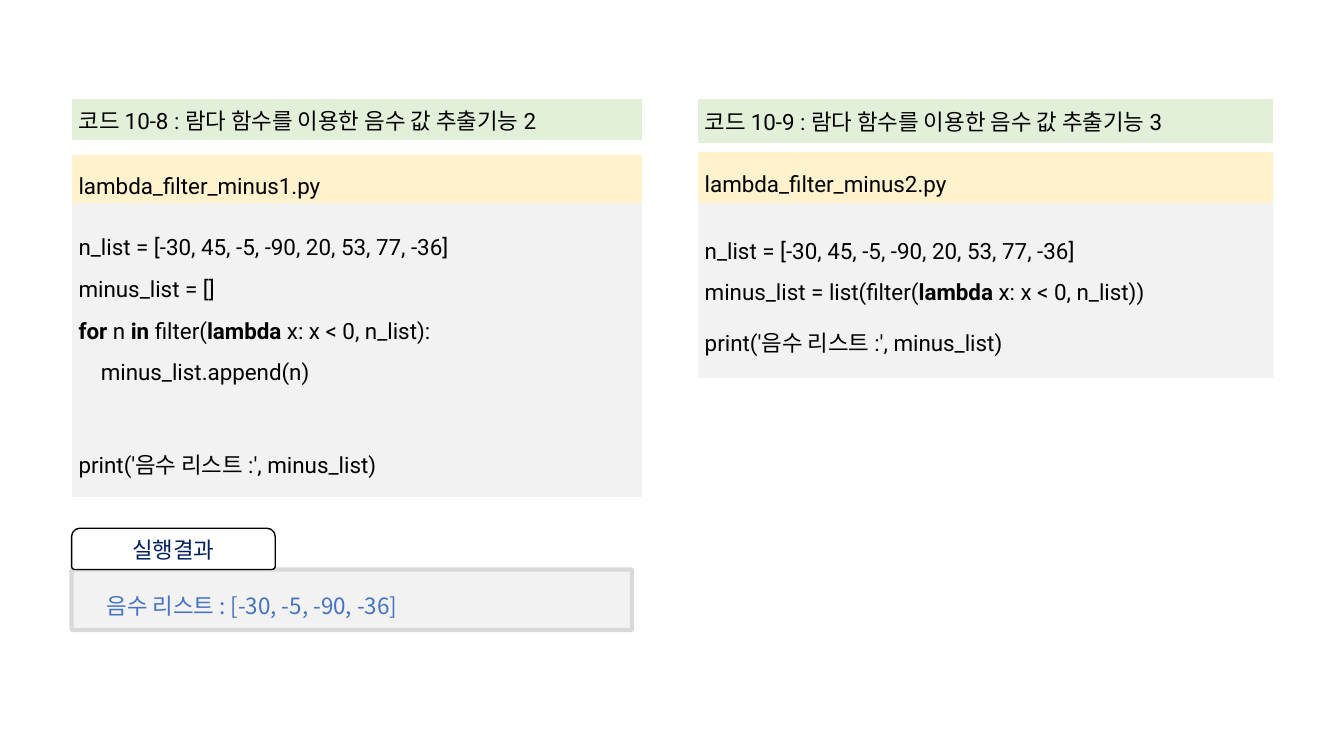
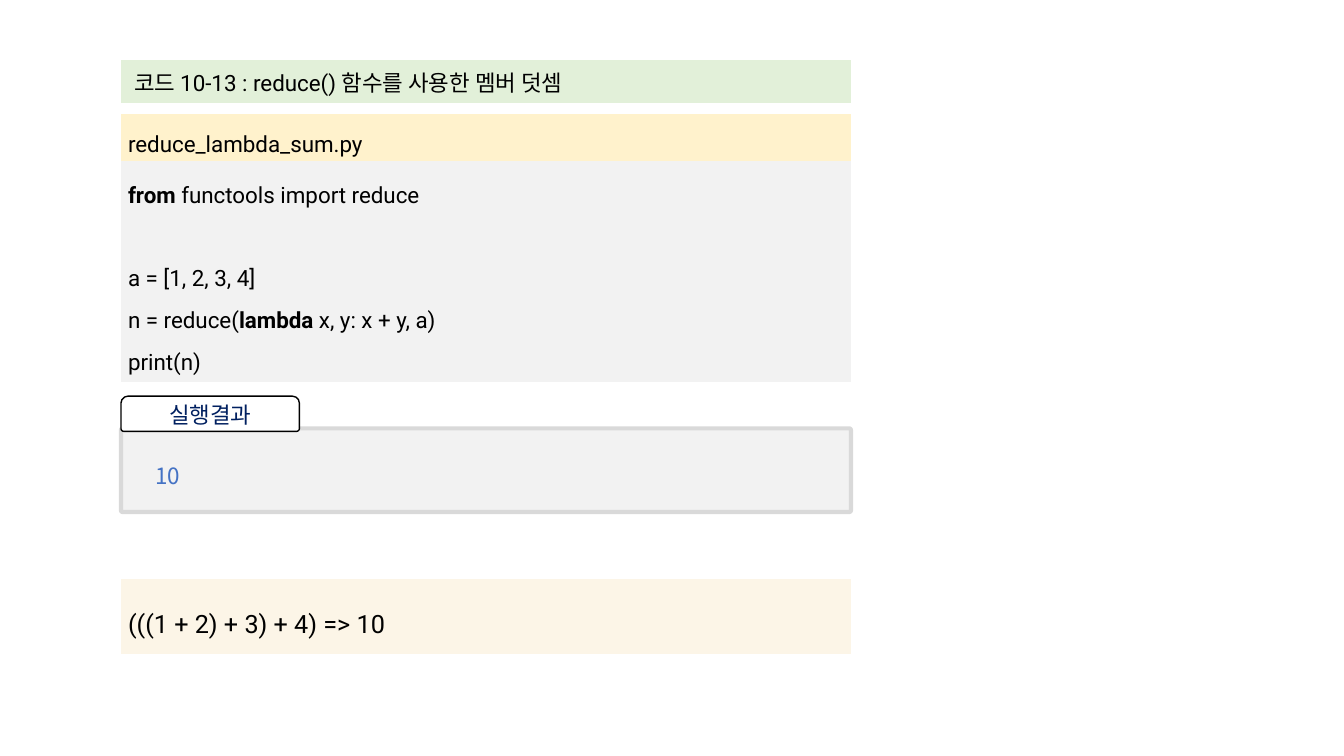
from lxml import etree
from pptx import Presentation
from pptx import util as u
from pptx.dml.color import RGBColor
from pptx.enum import shapes, text
from pptx.oxml import ns

PX = 9144  # 100 px to the inch
LATIN, KOREAN = "Roboto", "Noto Sans CJK KR"
COLORS = {
    "title": "E2F0D9", "file": "FFF2CC", "code": "F2F2F2", "note": "FCF5E7",
    "frame": "D9D9D9", "white": "FFFFFF", "black": "000000",
    "navy": "002060", "blue": "4472C4",
}
NO_GRID_STYLE = "{2D5ABB26-0587-4C30-8999-92F81FD0307C}"
BLANK_LINE = u.Pt(30)
INDENT = 22  # px for one code level of four spaces
CODE_FORMAT = {"align": text.PP_ALIGN.JUSTIFY, "spacing": 1.6}


def px(n):
    return u.Emu(n * PX)


def rgb(name):
    return RGBColor.from_string(COLORS[name])


def write_text(tf, lines, size=16, font=LATIN, color="black", align=None, spacing=None):
    """Write lines; **x** is bold, an empty line is a gap, leading spaces indent."""
    p, gap = tf.paragraphs[0], None
    for i, line in enumerate(lines):
        if not line:
            gap = BLANK_LINE
            continue
        if i:
            p = tf.add_paragraph()
        p.alignment, p.line_spacing, p.space_before = align, spacing, gap
        gap = None
        level = (len(line) - len(line.lstrip())) // 4
        if level:
            p._p.get_or_add_pPr().set("marL", str(px(level * INDENT)))
        for j, part in enumerate(line.lstrip().split("**")):
            if not part:
                continue
            r = p.add_run()
            r.text = part
            r.font.size, r.font.name, r.font.bold = u.Pt(size), font, j % 2 == 1
            r.font.color.rgb = rgb(color)
            etree.SubElement(r._r.get_or_add_rPr(), ns.qn("a:ea"), typeface=KOREAN)


def add_rows(slide, x, y, w, rows):
    """Add a one-column table; each row is (height, fill, lines, format)."""
    height = sum(row[0] for row in rows)
    table = slide.shapes.add_table(len(rows), 1, px(x), px(y), px(w), px(height)).table
    table.first_row = table.horz_banding = False
    table._tbl.tblPr.find(ns.qn("a:tableStyleId")).text = NO_GRID_STYLE
    for i, (h, fill, lines, fmt) in enumerate(rows):
        table.rows[i].height = px(h)
        cell = table.cell(i, 0)
        cell.vertical_anchor = text.MSO_ANCHOR.MIDDLE
        cell.margin_left = cell.margin_right = px(7)
        cell.margin_top = cell.margin_bottom = px(2)
        if lines:
            cell.fill.solid()
            cell.fill.fore_color.rgb = rgb(fill)
            write_text(cell.text_frame, lines, **fmt)
        else:
            cell.fill.background()
            p = cell.text_frame.paragraphs[0]._p
            etree.SubElement(p, ns.qn("a:endParaRPr"), sz="100")
    return table


def add_listing(slide, x, y, w, heights, title, filename, code):
    """Add title, gap, file name and code as the four rows of one table."""
    title_h, gap_h, file_h, code_h = heights
    return add_rows(slide, x, y, w, [
        (title_h, "title", [title], {}),
        (gap_h, None, [], {}),
        (file_h, "file", [filename], CODE_FORMAT),
        (code_h, "code", code, CODE_FORMAT),
    ])


def add_box(slide, kind, box, fill, line, width, adjustments):
    sp = slide.shapes.add_shape(kind, *map(px, box))
    sp.shadow.inherit = False
    sp.fill.solid()
    sp.fill.fore_color.rgb = rgb(fill)
    sp.line.color.rgb = rgb(line)
    sp.line.width = u.Pt(width)
    for i, value in enumerate(adjustments):
        sp.adjustments[i] = value
    return sp


def add_result(slide, frame, tab, output_box, output):
    """Add the framed program output with its tab on top."""
    kinds = shapes.MSO_SHAPE
    add_box(slide, kinds.ROUNDED_RECTANGLE, frame, "code", "frame", 3, [0.02])
    sp = add_box(slide, kinds.ROUND_2_SAME_RECTANGLE, tab, "white", "black", 1, [0.2, 0.08])
    sp.text_frame.vertical_anchor = text.MSO_ANCHOR.MIDDLE
    write_text(sp.text_frame, ["실행결과"], font=KOREAN, color="navy",
               align=text.PP_ALIGN.CENTER)
    tf = slide.shapes.add_textbox(*map(px, output_box)).text_frame
    tf.word_wrap = True
    write_text(tf, [output], font=KOREAN, color="blue", spacing=1.5)


def build_filter_slide(slide):
    numbers = "n_list = [-30, 45, -5, -90, 20, 53, 77, -36]"
    show = "print('음수 리스트 :', minus_list)"
    add_listing(slide, 71, 98, 566, (41, 15, 47, 292),
                "코드 10-8 : 람다 함수를 이용한 음수 값 추출기능 2",
                "lambda_filter_minus1.py",
                [numbers,
                 "minus_list = []",
                 "**for** n **in** filter(**lambda** x: x < 0, n_list):",
                 "    minus_list.append(n)",
                 "",
                 show])
    add_listing(slide, 692, 98, 571, (44, 9, 50, 174),
                "코드 10-9 : 람다 함수를 이용한 음수 값 추출기능 3",
                "lambda_filter_minus2.py",
                [numbers,
                 "minus_list = list(filter(**lambda** x: x < 0, n_list))",
                 show])
    add_result(slide, (71, 565, 556, 60), (71, 524, 202, 41), (96, 569, 506, 45),
               "음수 리스트 : [-30, -5, -90, -36]")


def build_reduce_slide(slide):
    x, w = 120, 724
    table = add_listing(slide, x, 60, w, (42, 11, 46, 219),
                        "코드 10-13 : reduce() 함수를 사용한 멤버 덧셈",
                        "reduce_lambda_sum.py",
                        ["**from** functools import reduce",
                         "",
                         "a = [1, 2, 3, 4]",
                         "n = reduce(**lambda** x, y: x + y, a)",
                         "print(n)"])
    table.cell(0, 0).margin_left = px(13)
    add_result(slide, (x, 425, w, 83), (x, 393, 177, 35), (144, 440, 659, 35), "10")
    add_rows(slide, x, 574, w, [
        (75, "note", ["(((1 + 2) + 3) + 4) => 10"], {"size": 18, **CODE_FORMAT}),
    ])


def main():
    prs = Presentation()
    prs.slide_width, prs.slide_height = px(1333), px(750)
    for build in (build_filter_slide, build_reduce_slide):
        build(prs.slides.add_slide(prs.slide_layouts[6]))
    prs.save("out.pptx")


if __name__ == "__main__":
    main()
